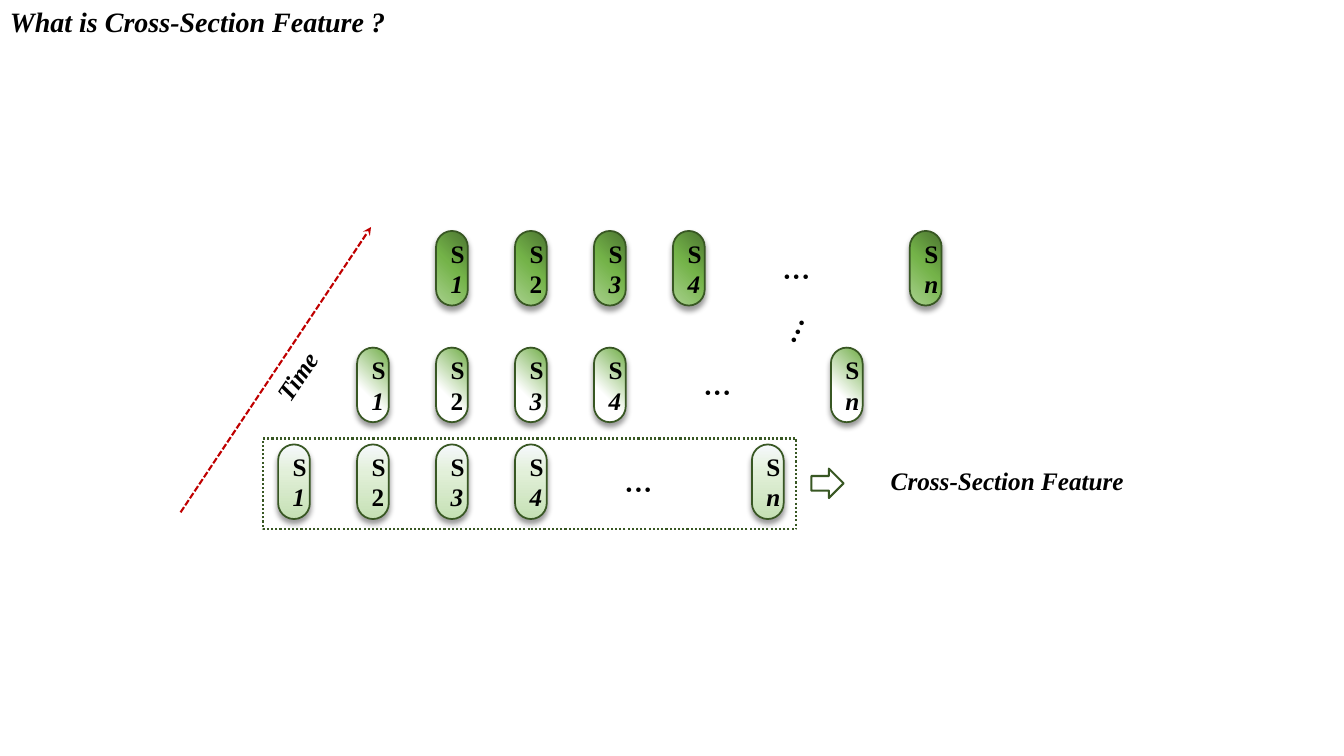
import pptx
import pptx.dml.color
import pptx.enum.dml
import pptx.enum.shapes
import pptx.enum.text
import pptx.oxml
import pptx.oxml.ns
import pptx.util
from lxml import etree

Cm, Pt = pptx.util.Cm, pptx.util.Pt
RGBColor = pptx.dml.color.RGBColor
MSO_SHAPE = pptx.enum.shapes.MSO_SHAPE
DASH = pptx.enum.dml.MSO_LINE
PP_ALIGN = pptx.enum.text.PP_ALIGN
qn = pptx.oxml.ns.qn

BLACK = RGBColor(0x00, 0x00, 0x00)
WHITE = RGBColor(0xFF, 0xFF, 0xFF)
DARK_GREEN = RGBColor(0x38, 0x57, 0x23)
GREEN = RGBColor(0x70, 0xAD, 0x47)
RED = RGBColor(0xC0, 0x00, 0x00)

FONT = "Times New Roman"
PITCH = 1.99
CAPSULE_W, CAPSULE_H = 0.8, 1.88
# label, whether it is italic, column
SAMPLES = [("1", True, 0), ("2", False, 1), ("3", True, 2), ("4", True, 3), ("n", True, 6)]

TOP_STOPS = [(0, RGBColor(0x4B, 0x74, 0x30)), (48, RGBColor(0x74, 0xB3, 0x49)),
             (100, RGBColor(0xA9, 0xD1, 0x8E))]
MIDDLE_STOPS = [(0, WHITE), (35, WHITE), (100, GREEN)]
BOTTOM_STOPS = [(0, RGBColor(0xF6, 0xF8, 0xFC)), (37, RGBColor(0xE2, 0xF0, 0xD9)),
                (100, RGBColor(0xC5, 0xE0, 0xB4))]
DOWN = '<a:lin ang="5400000" scaled="0"/>'
DOWN_LEFT = '<a:lin ang="8100000" scaled="0"/>'
FROM_BOTTOM_LEFT = '<a:path path="circle"><a:fillToRect t="100000" r="100000"/></a:path>'
SHADOW = ('<a:effectLst {}><a:outerShdw blurRad="50800" dist="38100" dir="5400000" algn="t" '
          'rotWithShape="0"><a:srgbClr val="000000"><a:alpha val="40000"/></a:srgbClr>'
          '</a:outerShdw></a:effectLst>').format(pptx.oxml.ns.nsdecls("a"))


def add_run(p, text, size, italic=False):
    r = p.add_run()
    r.text = text
    r.font.name = FONT
    r.font.size = Pt(size)
    r.font.bold = True
    r.font.italic = italic
    r.font.color.rgb = BLACK


def add_label(s, text, x, y, w, h, size=18, italic=True, align=PP_ALIGN.CENTER, rotation=0):
    sp = s.shapes.add_textbox(Cm(x), Cm(y), Cm(w), Cm(h))
    sp.rotation = rotation
    tf = sp.text_frame
    tf.word_wrap = True
    tf.auto_size = pptx.enum.text.MSO_AUTO_SIZE.SHAPE_TO_FIT_TEXT
    p = tf.paragraphs[0]
    p.alignment = align
    add_run(p, text, size, italic)


def add_dots(s, x, y, rotation=0):
    add_label(s, "···", x, y, 2.82, 0.74, size=20, italic=False, rotation=rotation)


def add_outlined(s, kind, x, y, w, h, width=1.5):
    """Add a white preset shape with a dark green outline."""
    sp = s.shapes.add_shape(kind, Cm(x), Cm(y), Cm(w), Cm(h))
    sp.shadow.inherit = False
    sp.fill.solid()
    sp.fill.fore_color.rgb = WHITE
    sp.line.color.rgb = DARK_GREEN
    sp.line.width = Pt(width)
    return sp


def set_gradient(sp, stops, direction):
    stop_xml = "".join(f'<a:gs pos="{pos * 1000}"><a:srgbClr val="{color}"/></a:gs>'
                       for pos, color in stops)
    grad = pptx.oxml.parse_xml(
        f'<a:gradFill {pptx.oxml.ns.nsdecls("a")} rotWithShape="1">'
        f'<a:gsLst>{stop_xml}</a:gsLst>{direction}</a:gradFill>')
    spPr = sp.element.spPr
    spPr.replace(spPr.find(qn("a:solidFill")), grad)


def add_capsule(s, x, y, label, italic, stops, direction):
    sp = add_outlined(s, MSO_SHAPE.ROUNDED_RECTANGLE, x, y, CAPSULE_W, CAPSULE_H, 1.25)
    sp.adjustments[0] = 0.5
    set_gradient(sp, stops, direction)
    spPr = sp.element.spPr
    spPr.replace(spPr.find(qn("a:effectLst")), pptx.oxml.parse_xml(SHADOW))
    tf = sp.text_frame
    tf.vertical_anchor = pptx.enum.text.MSO_ANCHOR.MIDDLE
    for p, text, slanted in ((tf.paragraphs[0], "S", False), (tf.add_paragraph(), label, italic)):
        p.alignment = PP_ALIGN.CENTER
        add_run(p, text, 18, slanted)


def add_sample_row(s, x, y, stops, direction):
    for label, italic, column in SAMPLES:
        add_capsule(s, x + column * PITCH, y, label, italic, stops, direction)
    add_dots(s, x + 7.67, y + 0.56)


def add_cross_section(s, x, y):
    """Add the framed row with its arrow and caption."""
    frame = add_outlined(s, MSO_SHAPE.RECTANGLE, x - 0.38, y - 0.15, 13.44, 2.29)
    frame.line.dash_style = DASH.ROUND_DOT
    add_sample_row(s, x, y, BOTTOM_STOPS, DOWN)
    add_outlined(s, MSO_SHAPE.RIGHT_ARROW, x + 13.44, y + 0.61, 0.81, 0.74)
    add_label(s, "Cross-Section Feature", x + 14.45, y + 0.4, 7.85, 1.02)


def add_time_axis(s, x, y, w, h):
    """Add the dashed arrow rising across the box, and its name."""
    axis = s.shapes.add_connector(pptx.enum.shapes.MSO_CONNECTOR.STRAIGHT,
                                  Cm(x), Cm(y + h), Cm(x + w), Cm(y))
    axis.line.color.rgb = RED
    axis.line.width = Pt(1.5)
    axis.line.dash_style = DASH.SQUARE_DOT
    etree.SubElement(axis.line._get_or_add_ln(), qn("a:tailEnd"), type="stealth")
    etree.SubElement(axis.element.spPr, qn("a:effectLst"))
    add_label(s, "Time", x + 0.35, y + 3.25, 5.16, 1.02, rotation=304.2)


def add_diagram(s, x, y):
    """Add three rows, each later one a pitch further right."""
    add_sample_row(s, x + PITCH, y + 2.94, MIDDLE_STOPS, FROM_BOTTOM_LEFT)
    add_cross_section(s, x, y + 5.38)
    add_sample_row(s, x + 2 * PITCH, y, TOP_STOPS, DOWN_LEFT)
    add_dots(s, x + 11.48, y + 2.08, rotation=294.9)
    add_time_axis(s, x - 2.46, y - 0.1, 4.8, 7.19)


def main():
    prs = pptx.Presentation()
    prs.slide_width, prs.slide_height = Cm(33.87), Cm(19.05)
    s = prs.slides.add_slide(prs.slide_layouts[6])
    add_label(s, "What is Cross-Section Feature ?", 0, 0, 16.93, 1.11, size=20,
              align=PP_ALIGN.LEFT)
    add_diagram(s, 7.01, 5.82)
    prs.save("out.pptx")


if __name__ == "__main__":
    main()
